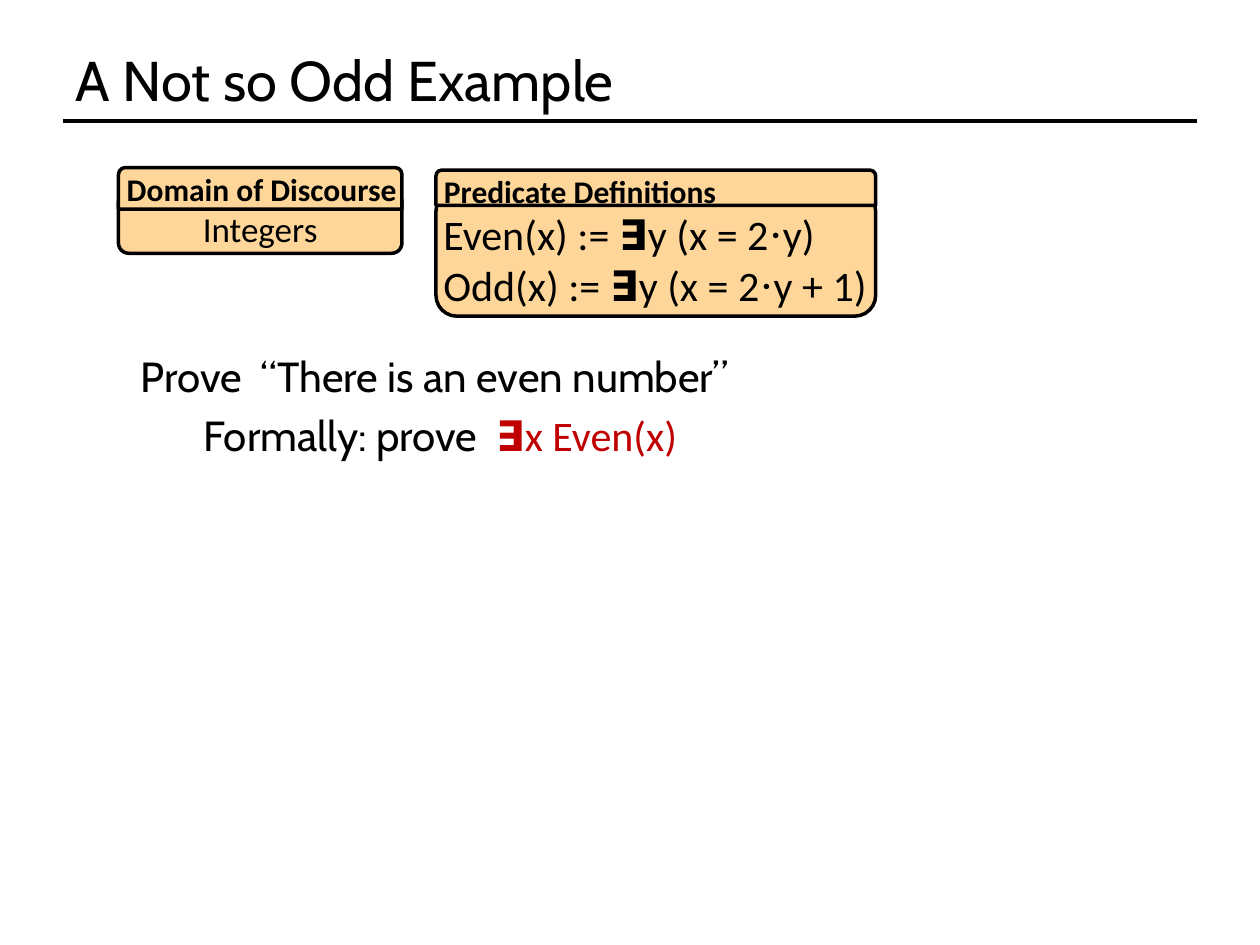
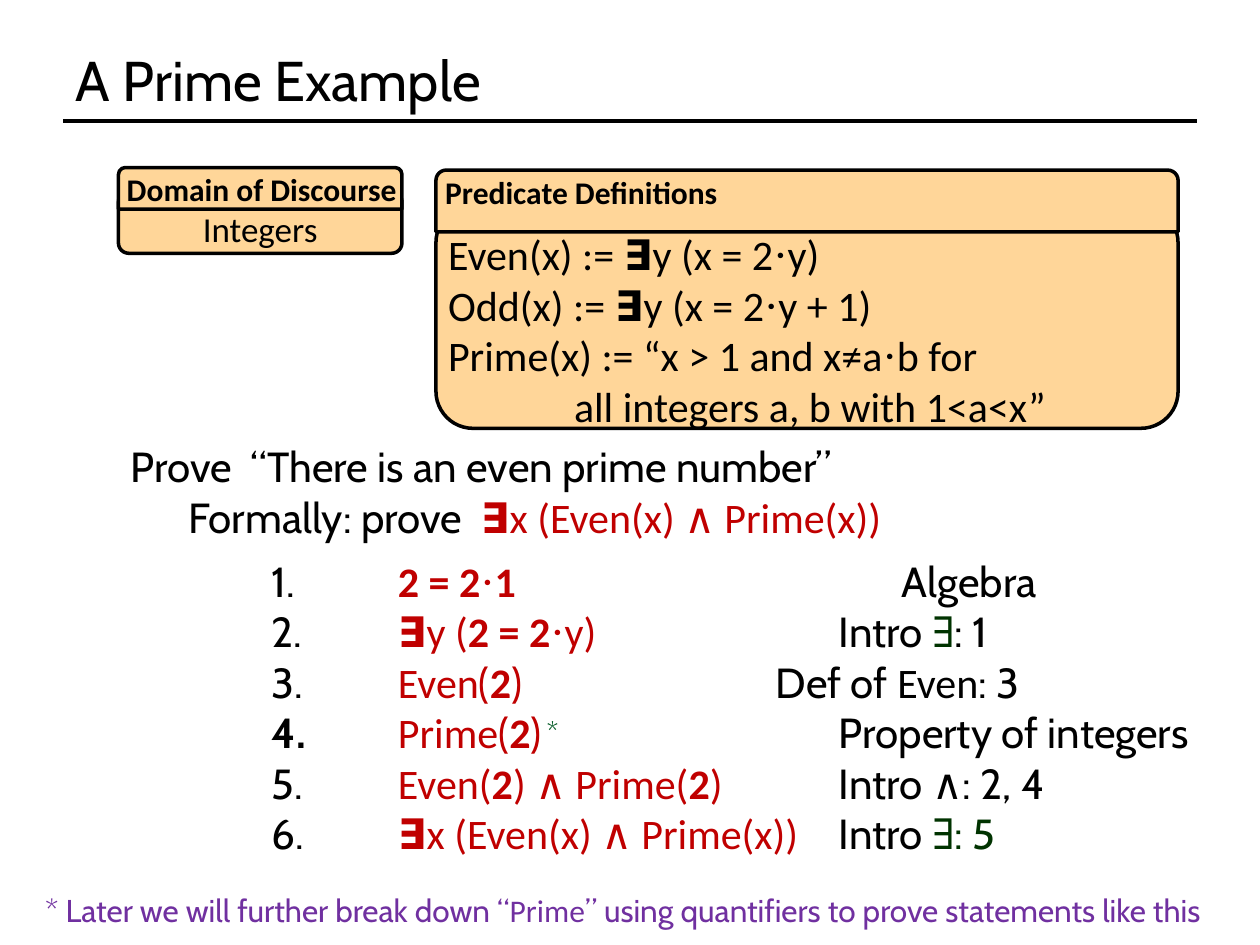
import pptx
import pptx.dml.color
import pptx.enum.shapes
import pptx.enum.text
import pptx.oxml
import pptx.oxml.ns
import pptx.util

PX = 9144  # EMU per px, 100 px to the inch
COLORS = {
    "black": "000000", "card": "FFD699", "formula": "C00000",
    "quantifier": "003300", "star": "005923", "note": "7030A0",
}
# Run style: font, colour, bold
STYLES = {
    "prose": ("Cabin", "black", False),
    "math": ("Calibri", "black", False),
    "strong": ("Calibri", "black", True),
    "dot": ("Cambria", "black", False),
    "goal": ("Calibri", "formula", False),
    "goal strong": ("Calibri", "formula", True),
    "goal dot": ("Cambria", "formula", False),
    "goal prose": ("Cabin", "formula", False),
    "number strong": ("Cabin", "black", True),
    "exists": ("Cambria", "quantifier", False),
    "exists prose": ("Cabin", "quantifier", False),
    "star": ("Cabin", "star", False),
    "note": ("Cabin", "note", False),
    "note math": ("Calibri", "note", False),
}
SHAPES = pptx.enum.shapes.MSO_SHAPE
ALIGN = pptx.enum.text.PP_ALIGN
ANCHOR = pptx.enum.text.MSO_ANCHOR


def emu(*lengths):
    return [pptx.util.Emu(length * PX) for length in lengths]


def rgb(name):
    return pptx.dml.color.RGBColor.from_string(COLORS[name])


class Deck:
    """Holds the shared style and the current slide."""

    def __init__(self):
        self.prs = pptx.Presentation()
        self.prs.slide_width, self.prs.slide_height = emu(1000, 750)
        self.slide = None

    def new_slide(self, heading):
        self.slide = self.prs.slides.add_slide(self.prs.slide_layouts[5])
        title = self.slide.shapes.title
        title.left, title.top, title.width, title.height = emu(50, 30, 900, 66)
        title.text_frame.vertical_anchor = ANCHOR.MIDDLE
        self.add_lines(title.text_frame, [[(heading, "prose")]], 32)
        self.rule(50, 96, 950)

    def rule(self, left, top, right):
        rule = self.slide.shapes.add_connector(
            pptx.enum.shapes.MSO_CONNECTOR.STRAIGHT, *emu(left, top, right, top))
        rule.line.color.rgb = rgb("black")
        rule.line.width = pptx.util.Pt(2)
        rule._element.spPr.append(pptx.oxml.parse_xml(
            f"<a:effectLst {pptx.oxml.ns.nsdecls('a')}/>"))

    def add_lines(self, frame, lines, size, align=ALIGN.LEFT):
        """Each line is a list of (text, style) runs."""
        frame.word_wrap = True
        for i, runs in enumerate(lines):
            paragraph = frame.paragraphs[0] if i == 0 else frame.add_paragraph()
            paragraph.alignment = align
            for text, style in runs:
                font_name, color, bold = STYLES[style]
                run = paragraph.add_run()
                run.text = text
                run.font.name, run.font.bold = font_name, bold
                run.font.size = pptx.util.Pt(size)
                run.font.color.rgb = rgb(color)

    def indent(self, paragraph, margin):
        paragraph._p.get_or_add_pPr().set("marL", str(margin * PX))

    def tab_stops(self, paragraph, *stops):
        tabs = "".join(f'<a:tab pos="{stop * PX}" algn="l"/>' for stop in stops)
        paragraph._p.get_or_add_pPr().append(pptx.oxml.parse_xml(
            f"<a:tabLst {pptx.oxml.ns.nsdecls('a')}>{tabs}</a:tabLst>"))

    def text(self, box, lines, size=24):
        frame = self.slide.shapes.add_textbox(*emu(*box)).text_frame
        self.add_lines(frame, lines, size)
        return frame

    def panel(self, kind, box, insets, lines, size, align=ALIGN.LEFT):
        panel = self.slide.shapes.add_shape(kind, *emu(*box))
        panel.shadow.inherit = False
        panel.fill.solid()
        panel.fill.fore_color.rgb = rgb("card")
        panel.line.color.rgb = rgb("black")
        panel.line.width = pptx.util.Pt(2)
        frame = panel.text_frame
        frame.vertical_anchor = ANCHOR.TOP
        (frame.margin_left, frame.margin_top,
         frame.margin_right, frame.margin_bottom) = emu(*insets)
        self.add_lines(frame, lines, size, align)
        return frame

    def card(self, left, width, header, body, heading, lines, size, align=ALIGN.LEFT):
        """header and body are (top, height); the header overlaps the body."""
        frame = self.panel(SHAPES.ROUNDED_RECTANGLE, (left, body[0], width, body[1]),
                           (1, 10, 1, 1), lines, size, align)
        self.panel(SHAPES.ROUND_2_SAME_RECTANGLE, (left, header[0], width, header[1]),
                   (5, 0, 0, 0), [[(heading, "strong")]], 18)
        return frame

    def domain(self):
        self.card(94, 225, (133, 33), (152, 49), "Domain of Discourse",
                  [[("Integers", "math")]], 20, ALIGN.CENTER)

    def predicates(self, width, header_height, body, lines):
        return self.card(346, width, (135, header_height), body,
                         "Predicate Definitions", lines, 24)

    def claim(self, box, sentence):
        self.text(box, [[(f"Prove  “{sentence}”", "prose")]])

    def formal_claim(self, box, formula):
        frame = self.text(box, [[("Formally: prove  ", "prose"),
                                 ("∃", "goal strong"), (formula, "goal")]])
        self.indent(frame.paragraphs[0], 50)

    def proof(self, box, steps):
        """Each step is (reason stop, number style, formula runs, reason runs)."""
        lines = [[(f"{number}.\t", style), *formula, ("\t", "prose"), *reason]
                 for number, (_, style, formula, reason) in enumerate(steps, 1)]
        frame = self.text(box, lines)
        for paragraph, (reason_stop, *_) in zip(frame.paragraphs, steps):
            self.tab_stops(paragraph, 100, reason_stop)


def definition(name, ending):
    return [(f"{name}(x) := ", "math"), ("∃", "strong"), ("y (x = 2", "math"),
            ("⋅", "dot"), (ending, "math")]


EVEN_ODD = [definition("Even", "y)"), definition("Odd", "y + 1)")]
PRIME = [
    [("Prime(x) := “x > 1 and x≠a", "math"), ("⋅", "dot"), ("b for", "math")],
    [("all integers a, b with 1<a<x”", "math")],
]
TWO = ("2", "goal strong")
PROOF = [
    (500, "prose",
     [("2 = 2", "goal strong"), ("⋅", "goal dot"), ("1", "goal strong")],
     [("Algebra", "prose")]),
    (450, "prose",
     [("∃", "goal strong"), ("y (", "goal"), ("2 = 2", "goal strong"),
      ("⋅", "goal dot"), ("y)", "goal")],
     [("Intro ", "prose"), ("∃", "exists"), (": 1", "prose")]),
    (400, "prose",
     [("Even", "goal"), ("(", "goal prose"), TWO, (")", "goal prose")],
     [("Def of ", "prose"), ("Even", "math"), (": 3", "prose")]),
    (450, "number strong",
     [("Prime", "goal"), ("(", "goal prose"), TWO, (")", "goal prose")],
     [("Property of integers", "prose")]),
    (450, "prose",
     [("Even(", "goal"), TWO, (") ∧ Prime(", "goal"), TWO, (")", "goal")],
     [("Intro ", "prose"), ("∧", "math"), (": 2, 4", "prose")]),
    (450, "prose",
     [("∃", "goal strong"), ("x (Even(x) ∧ Prime(x))", "goal")],
     [("Intro ", "prose"), ("∃", "exists"), (": 5", "exists prose")]),
]


def main():
    deck = Deck()

    # Even example
    deck.new_slide("A Not so Odd Example")
    deck.predicates(349, 28, (151, 100), EVEN_ODD)
    deck.domain()
    deck.formal_claim((102, 320, 456, 50), "x Even(x)")
    deck.claim((102, 273, 499, 50), "There is an even number")

    # Prime example
    deck.new_slide("A Prime Example")
    definitions = deck.predicates(589, 49, (163, 177), EVEN_ODD + PRIME)
    deck.indent(definitions.paragraphs[-1], 100)
    deck.domain()
    deck.proof((206, 436, 778, 252), PROOF)
    deck.claim((94, 345, 592, 50), "There is an even prime number")
    deck.formal_claim((90, 385, 627, 50), "x (Even(x) ∧ Prime(x))")

    # Footnote and its mark
    deck.text((26, 702, 974, 40), [[
        ("* Later we will further break down “", "note"), ("Prime", "note math"),
        ("” using quantifiers to prove statements like this", "note")]], 18)
    deck.text((424, 562, 33, 37), [[("*", "star")]], 16)

    deck.prs.save("out.pptx")


if __name__ == "__main__":
    main()
